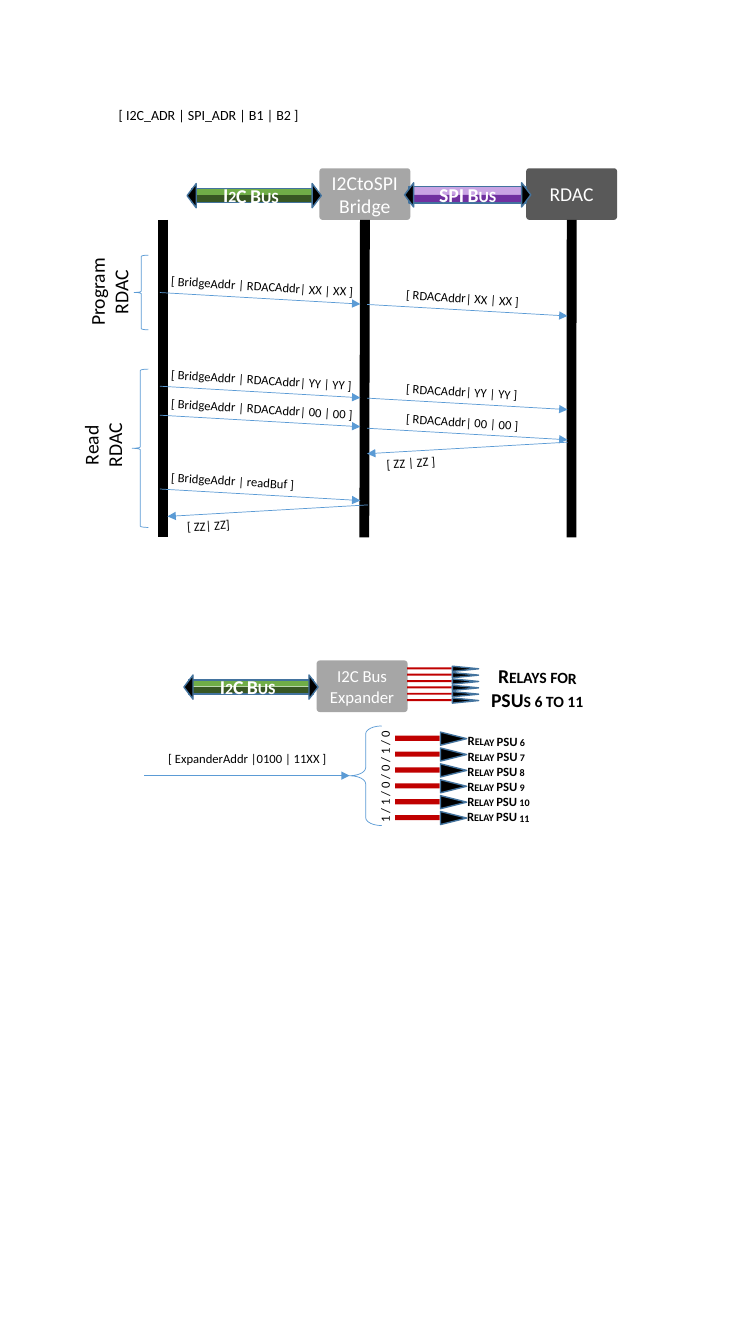
from lxml import etree
from pptx import Presentation
from pptx.dml.color import RGBColor
from pptx.enum.shapes import MSO_CONNECTOR, MSO_SHAPE
from pptx.enum.text import MSO_ANCHOR, MSO_AUTO_SIZE, PP_ALIGN
from pptx.oxml.ns import qn
from pptx.util import Cm, Pt

LINE = MSO_CONNECTOR.STRAIGHT
ROUND = MSO_SHAPE.ROUNDED_RECTANGLE
RECT = MSO_SHAPE.RECTANGLE
SLANT = MSO_SHAPE.PARALLELOGRAM
TRI = MSO_SHAPE.ISOSCELES_TRIANGLE
BRACE = MSO_SHAPE.LEFT_BRACE
LEFT, MID = PP_ALIGN.LEFT, PP_ALIGN.CENTER
CENTER = MSO_ANCHOR.MIDDLE
GROW = MSO_AUTO_SIZE.SHAPE_TO_FIT_TEXT

COLORS = {
    "black": "000000", "white": "FFFFFF", "gray": "A6A6A6", "dark": "595959",
    "edge": "43739E", "blue": "5B9BD5", "red": "C00000",
    "green": "70AD47", "pale": "F7FAFD", "forest": "385723",
    "lilac": "C9A4E4", "purple": "7030A0",
}
GREEN = [(45, "green"), (47, "pale"), (47, "forest")]
PURPLE = [(47, "lilac"), (53, "purple")]


class Sketch:
    """Draws bus diagrams on one slide in a shared style."""

    def __init__(self, slide):
        self.slide = slide
        self.font = "Calibri"
        self.tilt = 0.4
        self.slope = 3.6
        self.span = 5.05
        self.drop = 0.29

    def rgb(self, name):
        return RGBColor.from_string(COLORS[name])

    def shape(self, kind, x, y, w, h, fill=None, edge=None, width=1, turn=0):
        item = self.slide.shapes.add_shape(kind, Cm(x), Cm(y), Cm(w), Cm(h))
        item.shadow.inherit = False
        item.rotation = turn
        if fill:
            item.fill.solid()
            item.fill.fore_color.rgb = self.rgb(fill)
        else:
            item.fill.background()
        if edge:
            item.line.color.rgb = self.rgb(edge)
            item.line.width = Pt(width)
        else:
            item.line.fill.background()
        return item

    def words(self, frame, text, size, color, align, bold=False):
        frame.word_wrap = True
        frame.text = text
        for para in frame.paragraphs:
            para.alignment = align
            font = para.font
            font.name, font.size, font.bold = self.font, Pt(size), bold
            font.color.rgb = self.rgb(color)
            if bold:
                font._rPr.set("cap", "small")

    def label(self, x, y, w, h, text, size=9, align=LEFT, turn=0,
              color="black", bold=False):
        box = self.slide.shapes.add_textbox(Cm(x), Cm(y), Cm(w), Cm(h))
        box.rotation = turn
        self.words(box.text_frame, text, size, color, align, bold)
        box.text_frame.auto_size = GROW

    def chip(self, x, y, text, fill="gray", size=14):
        item = self.shape(ROUND, x, y, 2.29, 1.3, fill)
        item.adjustments[0] = 0.06
        item.text_frame.vertical_anchor = CENTER
        self.words(item.text_frame, text, size, "white", MID)
        return item

    def line(self, x1, y1, x2, y2, color="blue", width=0.5, arrow=True):
        item = self.slide.shapes.add_connector(
            LINE, Cm(x1), Cm(y1), Cm(x2), Cm(y2))
        item.line.color.rgb = self.rgb(color)
        item.line.width = Pt(width)
        if arrow:
            tail = etree.SubElement(item.line._get_or_add_ln(), qn("a:tailEnd"))
            tail.set("type", "triangle")
        etree.SubElement(item._element.spPr, qn("a:effectLst"))
        return item

    def rail(self, x, chip=None):
        item = self.line(x, 5.54, x, 13.54, "black", 7, False)
        if chip:
            item.begin_connect(chip, 2)

    def tip(self, x, y, w, h, turn=90):
        self.shape(TRI, x - w / 2, y - h / 2, w, h, "black", "edge", 1, turn)

    def bus(self, x, y, w, h, stops, text, shift=0):
        bar = self.shape(SLANT, x, y - h / 2, w, h, "white", "edge")
        bar.adjustments[0] = 0
        bar.fill.gradient()
        bar.fill.gradient_angle = 270
        ramp = bar._element.spPr.find(".//" + qn("a:gsLst"))
        for old in list(ramp):
            ramp.remove(old)
        for place, name in stops:
            stop = etree.SubElement(ramp, qn("a:gs"), pos=str(place * 1000))
            etree.SubElement(stop, qn("a:srgbClr"), val=COLORS[name])
        self.label(x + w / 2 - 1.7 + shift, y - 0.43, 3.4, 0.86, text, 14,
                   MID, self.tilt, "white", True)
        self.tip(x + w, y, 0.61, 0.23)
        self.tip(x, y, 0.61, 0.23, 270)

    def send(self, x, y, text, dx=0.03, w=5.15):
        self.line(x, y, x + self.span, y + self.drop)
        self.label(x + dx, y - 0.47, w, 0.64, text, turn=self.slope)

    def reply(self, x, y, text):
        self.line(x + self.span, y - self.drop, x, y)
        self.label(x + 0.24, y - 0.2, 5.15, 0.64, text, turn=-self.slope)

    def brace(self, x, y, w, h):
        return self.shape(BRACE, x, y, w, h, edge="blue", width=0.5)

    def relays(self, x, y, thick, tip, pitch):
        for row in range(6):
            mid = y + row * pitch
            self.shape(RECT, x, mid - thick / 2, 1.12, thick, "red")
        for row in range(6):
            self.tip(x + 1.47, y + row * pitch + 0.01, tip, 0.66)


def main():
    deck = Presentation()
    deck.slide_width, deck.slide_height = Cm(19.05), Cm(33.86)
    art = Sketch(deck.slides.add_slide(deck.slide_layouts[6]))

    art.label(2.74, 2.57, 5.89, 0.69, "[ I2C_ADR | SPI_ADR | B1 | B2 ]", 10)
    bridge = art.chip(8.05, 4.24, "I2CtoSPI\nBridge")
    rdac = art.chip(13.26, 4.24, "RDAC", "dark")
    art.bus(4.83, 4.93, 3.15, 0.36, GREEN, "I2C Bus", -0.08)
    art.bus(10.31, 4.91, 2.95, 0.41, PURPLE, "SPI Bus")
    art.rail(9.18, bridge)
    art.rail(4.11)
    art.rail(14.4, rdac)

    for y, text in [(7.37, "RDACAddr| XX | XX"), (9.73, "RDACAddr| YY | YY"),
                    (10.46, "RDACAddr| 00 | 00"), (12.32, "readBuf")]:
        art.send(4.03, y, f"[ BridgeAddr | {text} ]")
    for y, data in [(7.67, "XX | XX"), (10.03, "YY | YY"), (10.79, "00 | 00")]:
        art.send(9.25, y, f"[ RDACAddr| {data} ]", 0.73, 3.48)
    art.reply(9.25, 11.43, "[ ZZ | ZZ ]")
    art.reply(4.22, 13.01, "[ ZZ| ZZ]")

    art.brace(3.38, 6.43, 0.36, 1.88)
    art.brace(3.33, 9.3, 0.41, 3.99)
    for x, y, step in [(1.63, 6.63, "Program"), (1.47, 10.49, "Read")]:
        art.label(x, y, 2.24, 1.45, f"{step} RDAC", 14, MID, 270)

    art.chip(7.98, 16.64, "I2C Bus Expander", size=12)
    art.bus(4.75, 17.31, 3.15, 0.36, GREEN, "I2C Bus", -0.08)
    art.relays(10.26, 16.84, 0.05, 0.13, 0.16)
    art.label(11.84, 16.61, 3.4, 1.45, "Relays for PSUs 6 to 11", 14, MID,
              art.tilt, bold=True)

    art.label(3.99, 18.8, 4.83, 0.64, "[ ExpanderAddr |0100 | 11XX ]")
    art.line(3.63, 19.54, 8.81, 19.54)
    art.brace(8.81, 18.29, 0.81, 2.51).adjustments[0] = 0.25
    art.label(8.28, 19.25, 2.84, 0.64, "1 / 1 / 0 / 0 / 1 / 0", 9, MID, 270)
    art.relays(9.96, 18.6, 0.13, 0.33, 0.4)
    names = "\n".join(f"Relay PSU {unit}" for unit in range(6, 12))
    art.label(11.53, 18.36, 3.4, 2.57, names, turn=art.tilt, bold=True)

    deck.save("out.pptx")


if __name__ == "__main__":
    main()
